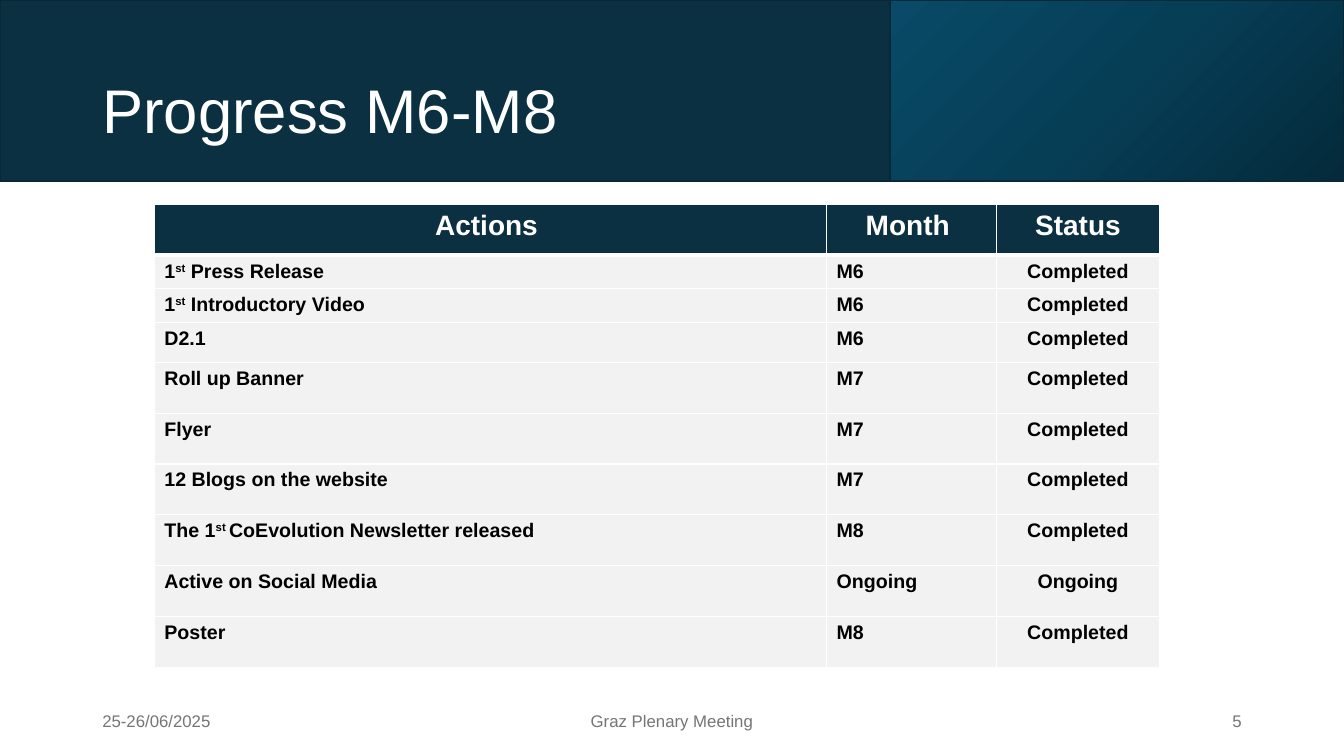
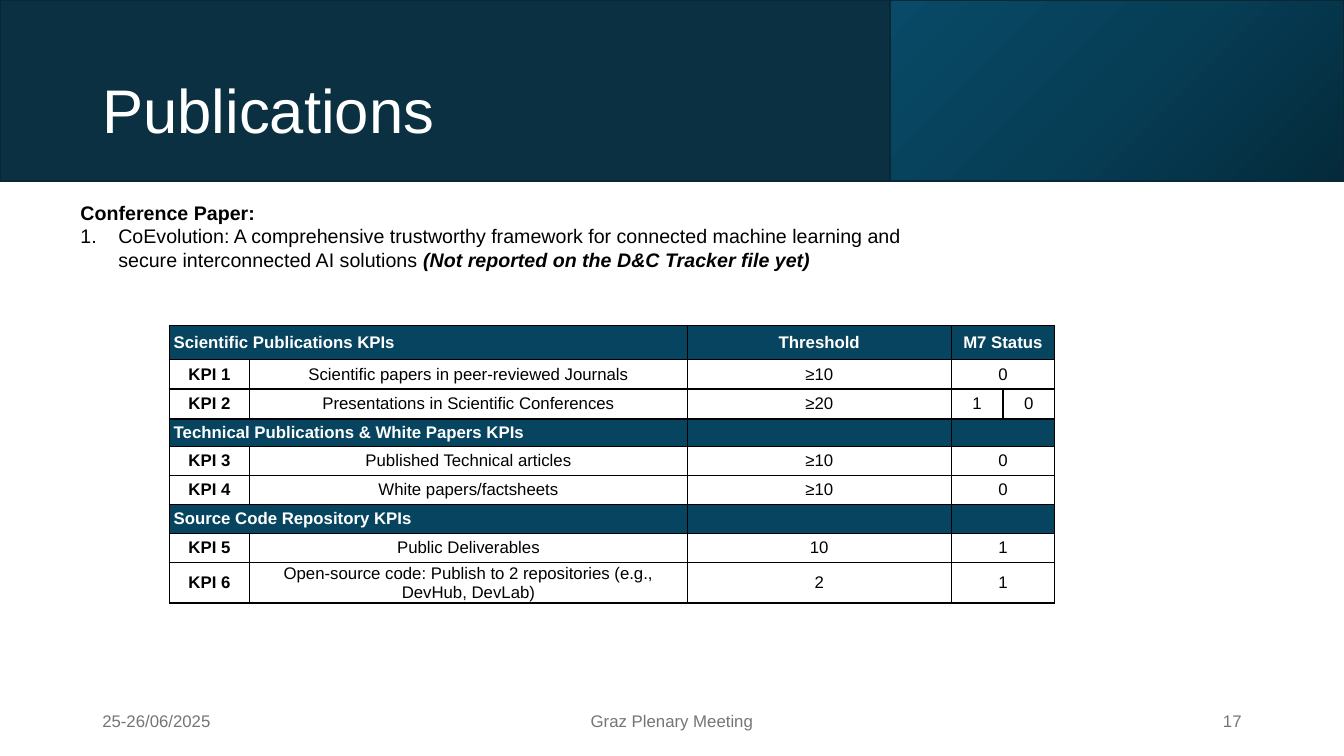
from lxml.etree import SubElement
from copy import deepcopy
from pptx import Presentation
from pptx.dml.color import RGBColor
from pptx.enum.shapes import MSO_SHAPE as Shape
from pptx.enum.text import MSO_ANCHOR as Anchor, PP_ALIGN as Align
from pptx.oxml.ns import qn
from pptx.util import Pt

FONT = "Arial"
WHITE = RGBColor(0xFF, 0xFF, 0xFF)
BLACK = RGBColor(0x00, 0x00, 0x00)
NAVY = RGBColor(0x0A, 0x30, 0x41)
NAVY_EDGE = RGBColor(0x08, 0x28, 0x36)
HEADER_NAVY = RGBColor(0x0B, 0x30, 0x41)
TEAL = RGBColor(0x07, 0x44, 0x5F)
LIGHT_GRAY = RGBColor(0xF2, 0xF2, 0xF2)
FOOTER_GRAY = RGBColor(0x75, 0x75, 0x75)
GRADIENT = [
    (0, RGBColor(0x04, 0x2A, 0x3B)),
    (0.5, RGBColor(0x06, 0x3E, 0x56)),
    (1, RGBColor(0x08, 0x4A, 0x67)),
]


def write(paragraph, text, size, color=BLACK, bold=False, italic=False, align=Align.LEFT):
    paragraph.alignment = align
    if not text:
        SubElement(paragraph._p, qn("a:endParaRPr")).set("sz", str(size * 100))
        return
    for index, part in enumerate(text.split("^")):
        run = paragraph.add_run()
        run.text = part
        run.font.name = FONT
        run.font.size = Pt(size)
        run.font.color.rgb = color
        run.font.bold = bold
        run.font.italic = italic
        if index % 2:
            run._r.get_or_add_rPr().set("baseline", "30000")


def style_cell(cell, fill, border, top=1, bottom=1):
    properties = cell._tc.get_or_add_tcPr()
    for side, width in (("L", 1), ("R", 1), ("T", top), ("B", bottom)):
        line = SubElement(properties, qn(f"a:ln{side}"), w=str(Pt(width)))
        SubElement(SubElement(line, qn("a:solidFill")), qn("a:srgbClr"), val=str(border))
    if fill is None:
        cell.fill.background()
    else:
        cell.fill.solid()
        cell.fill.fore_color.rgb = fill


presentation = Presentation()
presentation.slide_width = Pt(960)
presentation.slide_height = Pt(540)
slides = []

for title, number in (("Progress M6-M8", "5"), ("Publications", "17")):
    slide = presentation.slides.add_slide(presentation.slide_layouts[6])
    slides.append(slide)

    for left, width in ((0, 960), (636, 324)):
        band = slide.shapes.add_shape(Shape.RECTANGLE, Pt(left), 0, Pt(width), Pt(129.6))
        band.shadow.inherit = False
        band.line.color.rgb = NAVY_EDGE
        band.line.width = Pt(1.5)
        if left == 0:
            band.fill.solid()
            band.fill.fore_color.rgb = NAVY
        else:
            band.fill.gradient()
            band.fill.gradient_angle = 135
            stop_list = band.element.spPr.find(qn("a:gradFill")).find(qn("a:gsLst"))
            stop_list.insert(1, deepcopy(stop_list[0]))
            for stop, (position, color) in zip(band.fill.gradient_stops, GRADIENT):
                stop.position = position
                stop.color.rgb = color

    for text, left, top, width, height, size, color, align in (
        (title, 66, 28.8, 828, 104.4, 44, WHITE, Align.LEFT),
        ("25-26/06/2025", 66, 500.5, 216, 28.8, 12, FOOTER_GRAY, Align.LEFT),
        ("Graz Plenary Meeting", 318, 500.5, 324, 28.8, 12, FOOTER_GRAY, Align.CENTER),
        (number, 678, 500.5, 216, 28.8, 12, FOOTER_GRAY, Align.RIGHT),
    ):
        frame = slide.shapes.add_textbox(Pt(left), Pt(top), Pt(width), Pt(height)).text_frame
        frame.word_wrap = True
        frame.vertical_anchor = Anchor.MIDDLE
        if text == title:
            frame.paragraphs[0].line_spacing = 0.9
        write(frame.paragraphs[0], text, size, color, align=align)

progress_slide, publications_slide = slides

actions = [
    ("Actions ", "Month ", "Status"),
    ("1^st^ Press Release", "M6", "Completed"),
    ("1^st^ Introductory Video", "M6", "Completed"),
    ("D2.1", "M6", "Completed"),
    ("Roll up Banner", "M7", "Completed"),
    ("Flyer", "M7", "Completed"),
    ("12 Blogs on the website", "M7", "Completed"),
    ("The 1^st ^CoEvolution Newsletter released", "M8", "Completed"),
    ("Active on Social Media", "Ongoing", "Ongoing"),
    ("Poster", "M8", "Completed"),
]
action_widths = [480.2, 121.6, 116]
action_heights = [36, 23.3, 24.2, 28.4] + [36.3] * 6

kpis = [
    ("Scientific Publications KPIs", "", "Threshold", "M7 Status", ""),
    ("KPI 1", "Scientific papers in peer-reviewed Journals", "≥10", "0", ""),
    ("KPI 2", "Presentations in Scientific Conferences", "≥20", "1", "0"),
    ("Technical Publications & White Papers KPIs", "", "", "", ""),
    ("KPI 3", "Published Technical articles", "≥10", "0", ""),
    ("KPI 4", "White papers/factsheets", "≥10", "0", ""),
    ("Source Code Repository KPIs", "", "", "", ""),
    ("KPI 5", "Public Deliverables", "10", "1", ""),
    ("KPI 6", "Open-source code: Publish to 2 repositories (e.g., DevHub, DevLab)", "2", "1", ""),
]
kpi_widths = [57.6, 312.5, 188.6, 36.9, 36.9]
kpi_heights = [24.5, 21, 21.4, 19.4, 20.8, 20.8, 20.8, 21, 23]

tables = []
for slide, rows, left, top, widths, heights in (
    (progress_slide, actions, 110.2, 146.3, action_widths, action_heights),
    (publications_slide, kpis, 120.8, 232.4, kpi_widths, kpi_heights),
):
    table = slide.shapes.add_table(
        len(rows), len(widths), Pt(left), Pt(top), Pt(sum(widths)), Pt(sum(heights))
    ).table
    table.first_row = table.horz_banding = False
    for column, width in zip(table.columns, widths):
        column.width = Pt(width)
    for row, height in zip(table.rows, heights):
        row.height = Pt(height)
    tables.append(table)

action_table, kpi_table = tables

for row_index, row in enumerate(actions):
    header = row_index == 0
    for column_index, text in enumerate(row):
        cell = action_table.cell(row_index, column_index)
        style_cell(
            cell,
            HEADER_NAVY if header else LIGHT_GRAY,
            WHITE,
            top=3 if row_index == 1 else 1,
            bottom=3 if header else 1,
        )
        write(
            cell.text_frame.paragraphs[0],
            text,
            20 if header else 14,
            WHITE if header else BLACK,
            bold=True,
            align=Align.CENTER if header or column_index == 2 else Align.LEFT,
        )

for row_index, row in enumerate(kpis):
    header = not row[1]
    if header:
        kpi_table.cell(row_index, 0).merge(kpi_table.cell(row_index, 1))
    if not row[4]:
        kpi_table.cell(row_index, 3).merge(kpi_table.cell(row_index, 4))
    for column_index, text in enumerate(row):
        cell = kpi_table.cell(row_index, column_index)
        section = header and column_index == 0
        cell.margin_left = Pt(3.3 if section else 0)
        cell.margin_right = cell.margin_top = cell.margin_bottom = 0
        cell.vertical_anchor = Anchor.MIDDLE
        style_cell(cell, TEAL if header else None, BLACK)
        write(
            cell.text_frame.paragraphs[0],
            text,
            12,
            WHITE if header else BLACK,
            bold=header or column_index == 0,
            align=Align.LEFT if section else Align.CENTER,
        )

frame = publications_slide.shapes.add_textbox(Pt(50.4), Pt(139.7), Pt(635.8), Pt(58.3)).text_frame
frame.word_wrap = True
write(frame.paragraphs[0], "Conference Paper:", 14, bold=True)
paper = frame.add_paragraph()
paper_properties = paper._p.get_or_add_pPr()
paper_properties.set("marL", str(Pt(27)))
paper_properties.set("indent", str(Pt(-27)))
SubElement(paper_properties, qn("a:buAutoNum"), type="arabicPeriod")
write(
    paper,
    "CoEvolution: A comprehensive trustworthy framework for connected machine learning "
    "and secure interconnected AI solutions ",
    14,
)
write(paper, "(Not reported on the D&C Tracker file yet)", 14, bold=True, italic=True)

presentation.save("out.pptx")
